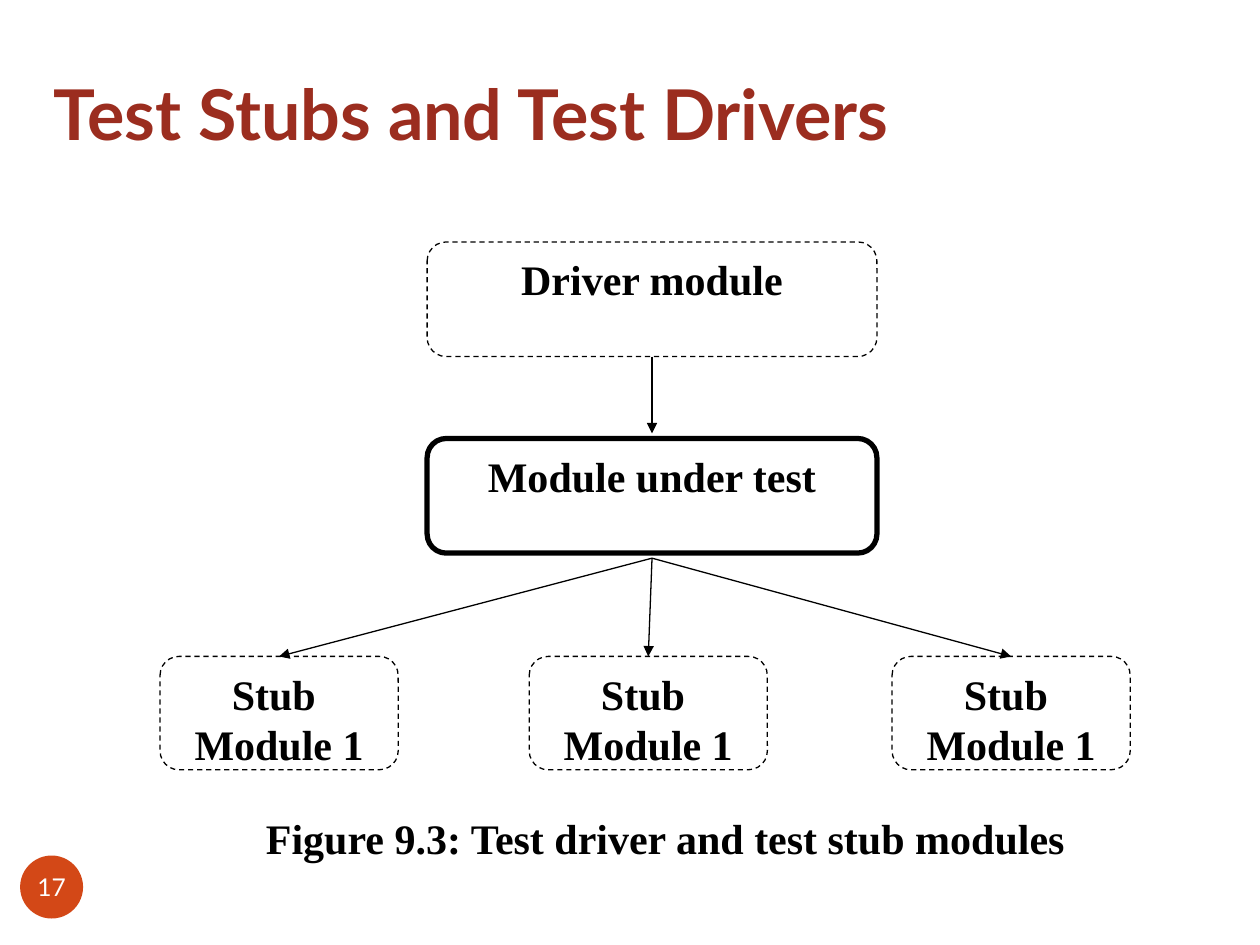
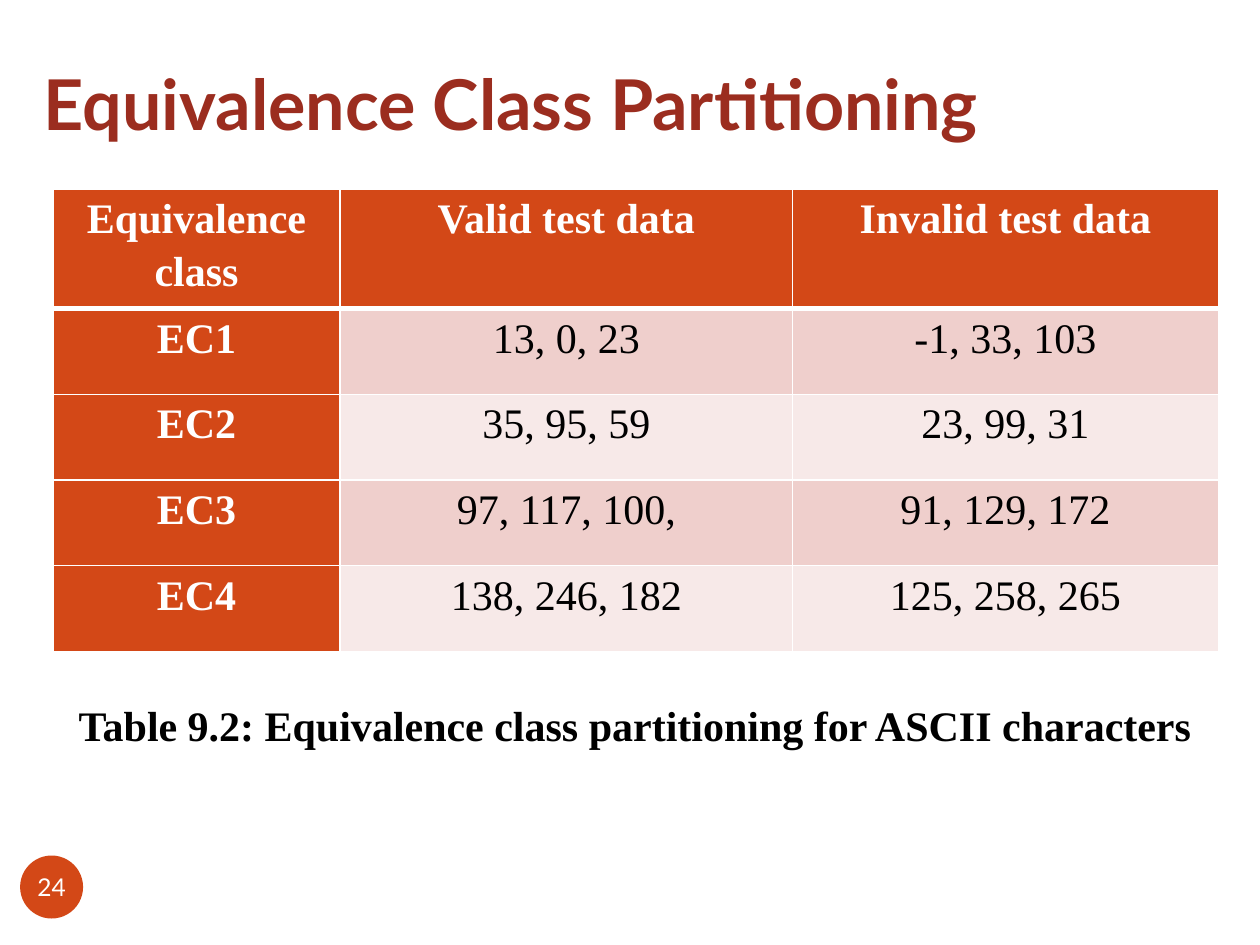
from dataclasses import dataclass

from lxml.etree import SubElement
from pptx import Presentation
from pptx.dml.color import RGBColor
from pptx.enum.dml import MSO_LINE
from pptx.enum.shapes import MSO_CONNECTOR, MSO_SHAPE as SHAPE
from pptx.enum.text import MSO_ANCHOR as ANCHOR, PP_ALIGN as ALIGN
from pptx.oxml.ns import qn
from pptx.util import Emu, Inches, Pt

# The slide is a grid of 100 columns by 75 rows.
COLS, ROWS = 100, 75
WIDTH, HEIGHT = Inches(10), Inches(7.5)

BLACK, WHITE = "000000", "FFFFFF"
RUST, ORANGE = "9B2D1F", "D34817"
BANDS = ("EFCFCC", "F7E9E8")

TITLE_FONT = {"name": "Lato", "size": Pt(40), "bold": True}
BADGE_FONT = {"name": "Lato", "size": Pt(14), "bold": False}
BODY_FONT = {"name": "Times New Roman", "size": Pt(24), "bold": False}
BOLD_FONT = {**BODY_FONT, "bold": True}


@dataclass(frozen=True)
class Box:
    """A rectangle in grid columns and rows."""
    left: float
    top: float
    width: float
    height: float

    @property
    def centre(self) -> float:
        """Column of the vertical axis."""
        return self.left + self.width / 2

    @property
    def bottom(self) -> float:
        """Row of the lower edge."""
        return self.top + self.height

    def emu(self) -> tuple:
        """Left, top, width and height in slide units."""
        return x(self.left), y(self.top), x(self.width), y(self.height)


@dataclass(frozen=True)
class Module:
    """A rounded box of the test diagram."""
    lines: tuple
    box: Box
    side_inset: float = 1
    weight: float = 0.75
    dashed: bool = True


def x(cols: float) -> Emu:
    """Turn columns into a length."""
    return Emu(round(WIDTH * cols / COLS))


def y(rows: float) -> Emu:
    """Turn rows into a length."""
    return Emu(round(HEIGHT * rows / ROWS))


def rgb(value: str) -> RGBColor:
    """Turn a hex string into a colour."""
    return RGBColor.from_string(value)


def set_all(target, values: dict) -> None:
    """Set every attribute named in values."""
    for name, value in values.items():
        setattr(target, name, value)


def margins(side: float, top: float, bottom: float) -> dict:
    """Text margins, given in columns and rows."""
    return {"margin_left": x(side), "margin_right": x(side),
            "margin_top": y(top), "margin_bottom": y(bottom)}


def write(tf, lines: tuple, font: dict, color: str,
          align=ALIGN.CENTER, spacing: float = 1.0) -> None:
    """Write one paragraph for each line."""
    for i, line in enumerate(lines):
        p = tf.paragraphs[0] if i == 0 else tf.add_paragraph()
        set_all(p, {"alignment": align, "line_spacing": spacing})
        r = p.add_run()
        r.text = line
        set_all(r.font, font)
        r.font.color.rgb = rgb(color)


def add_panel(s, kind, box: Box, fill: str, line: str = "", weight: float = 0.75,
              frame: dict = {}):
    """Add a filled shape whose text starts at the top."""
    sp = s.shapes.add_shape(kind, *box.emu())
    sp.shadow.inherit = False
    sp.fill.solid()
    sp.fill.fore_color.rgb = rgb(fill)
    if line:
        sp.line.color.rgb = rgb(line)
        sp.line.width = Pt(weight)
    else:
        sp.line.fill.background()
    set_all(sp.text_frame, {"word_wrap": True, "vertical_anchor": ANCHOR.TOP, **frame})
    return sp


def add_module(s, module: Module) -> None:
    """Draw one module of the diagram."""
    sp = add_panel(s, SHAPE.ROUNDED_RECTANGLE, module.box, WHITE, BLACK,
                   module.weight, margins(module.side_inset, 0.5, 0.1))
    if module.dashed:
        sp.line.dash_style = MSO_LINE.DASH
    write(sp.text_frame, module.lines, BOLD_FONT, BLACK)


def add_arrow(s, start: tuple, end: tuple) -> None:
    """Draw a thin line with an arrowhead at its end."""
    c = s.shapes.add_connector(MSO_CONNECTOR.STRAIGHT, x(start[0]), y(start[1]),
                               x(end[0]), y(end[1]))
    c.line.color.rgb = rgb(BLACK)
    c.line.width = Pt(0.75)
    SubElement(c.line._get_or_add_ln(), qn("a:tailEnd"), type="triangle")
    SubElement(c._element.spPr, qn("a:effectLst"))


def add_caption(s, text: str, box: Box, frame: dict) -> None:
    """Add a bold caption on a white panel."""
    sp = add_panel(s, SHAPE.RECTANGLE, box, WHITE, WHITE, frame=frame)
    write(sp.text_frame, (text,), BOLD_FONT, BLACK)


def add_page(prs, title: str, title_box: Box, number: int):
    """Add a blank slide with its title and page badge."""
    s = prs.slides.add_slide(prs.slide_layouts[6])
    tf = s.shapes.add_textbox(*title_box.emu()).text_frame
    set_all(tf, {"word_wrap": True, "vertical_anchor": ANCHOR.BOTTOM,
                 **margins(1, 0.5, 1)})
    write(tf, (title,), TITLE_FONT, RUST, ALIGN.LEFT)
    badge = add_panel(s, SHAPE.OVAL, Box(1.6, 67.9, 5, 5), ORANGE,
                      frame={**margins(0, 0, 0), "word_wrap": False,
                             "vertical_anchor": ANCHOR.MIDDLE})
    write(badge.text_frame, (str(number),), BADGE_FONT, WHITE)
    return s


def add_borders(cell, widths: dict) -> None:
    """Give a cell white borders of the given point widths."""
    for side in ("L", "R", "T", "B"):
        ln = SubElement(cell._tc.get_or_add_tcPr(), qn("a:ln" + side),
                        w=str(Pt(widths.get(side, 1))))
        SubElement(SubElement(ln, qn("a:solidFill")), qn("a:srgbClr"), val=WHITE)


def add_grid(s, box: Box, widths: tuple, heights: tuple, rows: tuple) -> None:
    """Add a table with a coloured header row and first column."""
    table = s.shapes.add_table(len(rows), len(widths), *box.emu()).table
    set_all(table, {"first_row": True, "first_col": True, "horz_banding": False})
    for col, width in zip(table.columns, widths):
        col.width = x(width)
    for row, height in zip(table.rows, heights):
        row.height = y(height)
    heavy = {0: {"B": 3}, 1: {"T": 3}}
    for i, row in enumerate(rows):
        for j, text in enumerate(row):
            cell = table.cell(i, j)
            head = i == 0 or j == 0
            set_all(cell, margins(0.7, 0, 0))
            add_borders(cell, heavy.get(i, {}))
            cell.fill.solid()
            cell.fill.fore_color.rgb = rgb(ORANGE if head else BANDS[(i - 1) % 2])
            write(cell.text_frame, (text,), BOLD_FONT if head else BODY_FONT,
                  WHITE if head else BLACK, spacing=1.15)


def build_diagram(prs) -> None:
    """Driver, module under test and its three stubs."""
    s = add_page(prs, "Test Stubs and Test Drivers", Box(3.3, 0.8, 85, 12.5), 17)
    driver = Module(("Driver module",), Box(33.9, 19.2, 35.7, 9.1))
    tested = Module(("Module under test",), Box(33.9, 34.8, 35.7, 9.1),
                    weight=3, dashed=False)
    stubs = [Module(("Stub ", "Module 1"), Box(left, 52.1, 18.9, 9), side_inset=0.2)
             for left in (12.7, 42, 70.8)]
    for module in (driver, tested, *stubs):
        add_module(s, module)
    axis = driver.box.centre
    add_arrow(s, (axis, driver.box.bottom), (axis, tested.box.top - 0.4))
    for stub in stubs:
        add_arrow(s, (axis, tested.box.bottom + 0.4), (stub.box.centre, stub.box.top))
    add_caption(s, "Figure 9.3: Test driver and test stub modules",
                Box(20.7, 64.5, 64.2, 4.5), margins(0, 0, 0))


def build_table(prs) -> None:
    """Valid and invalid test data for each equivalence class."""
    s = add_page(prs, "Equivalence Class Partitioning", Box(2.5, 3.3, 90, 9.2), 24)
    rows = (
        ("Equivalence class", "Valid test data", "Invalid test data"),
        ("EC1", "13, 0, 23", "-1, 33, 103"),
        ("EC2", "35, 95, 59", "23, 99, 31"),
        ("EC3", "97, 117, 100,", "91, 129, 172"),
        ("EC4", "138, 246, 182", "125, 258, 265"),
    )
    add_grid(s, Box(4.2, 15, 92.5, 36.7), (22.8, 35.9, 33.8),
             (9.5,) + (6.8,) * 4, rows)
    add_caption(s, "Table 9.2: Equivalence class partitioning for ASCII characters",
                Box(5, 55, 90.8, 7.5), margins(1, 0.5, 0.5))


def main() -> None:
    """Build both slides and save them."""
    prs = Presentation()
    set_all(prs, {"slide_width": WIDTH, "slide_height": HEIGHT})
    build_diagram(prs)
    build_table(prs)
    prs.save("out.pptx")


main()
